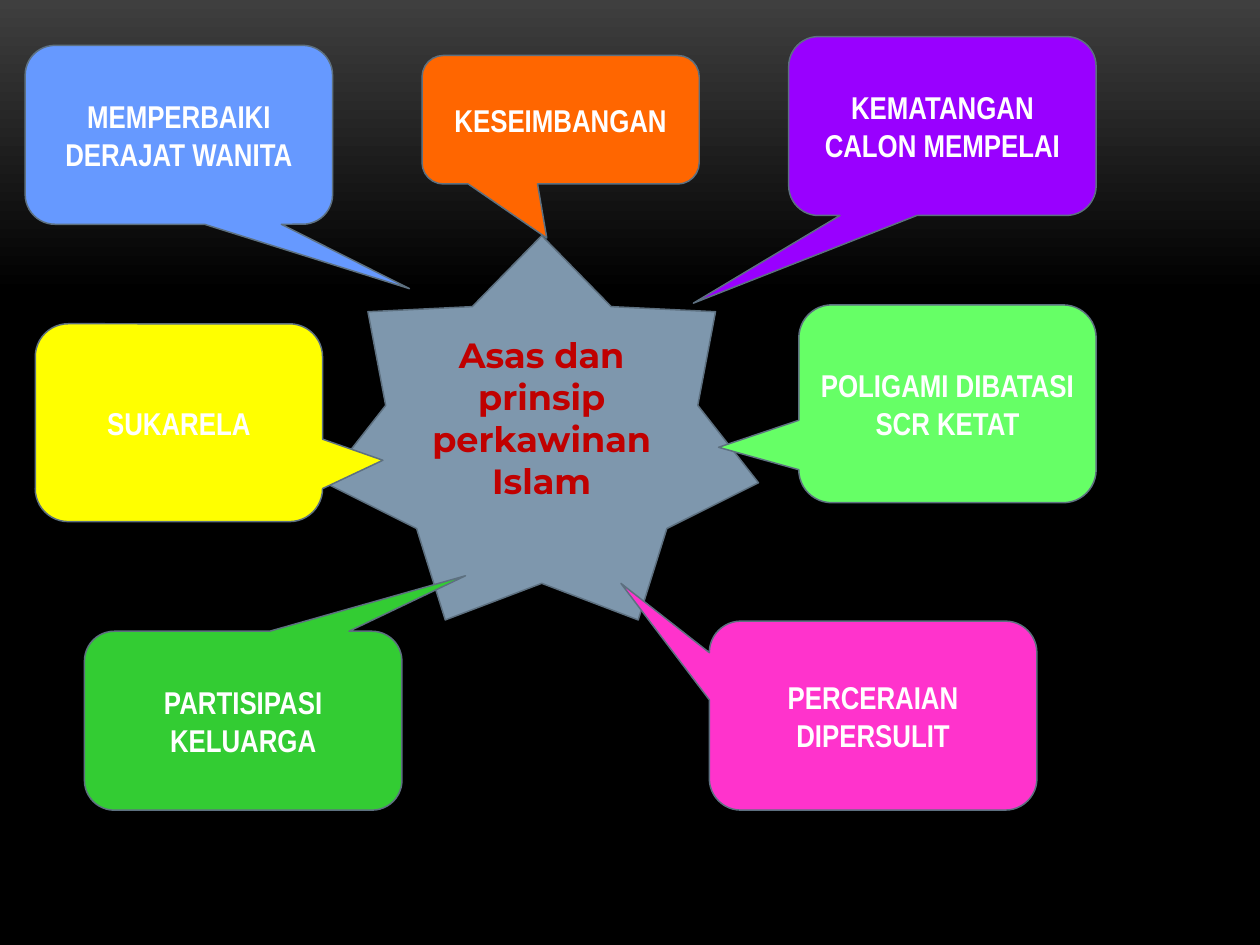
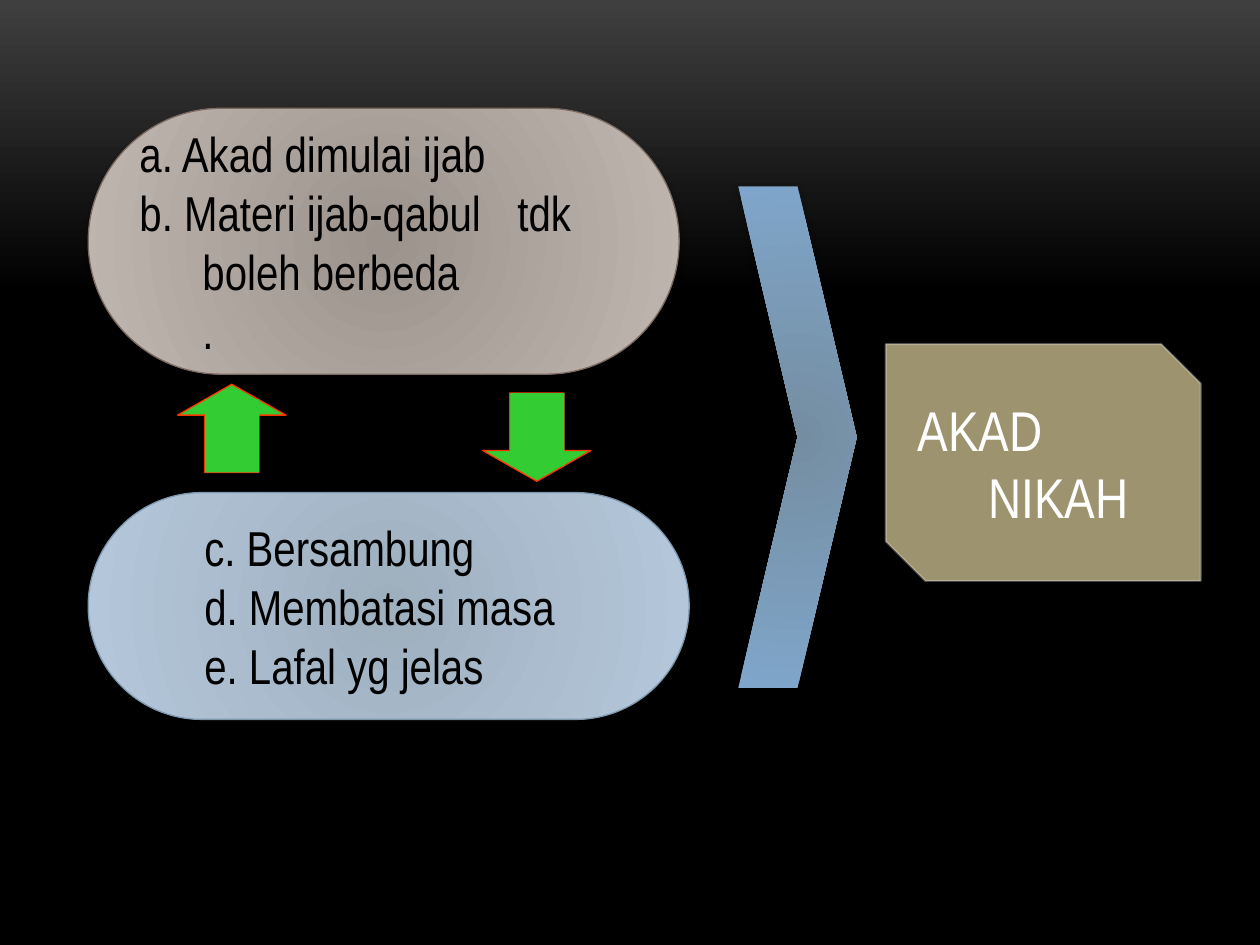
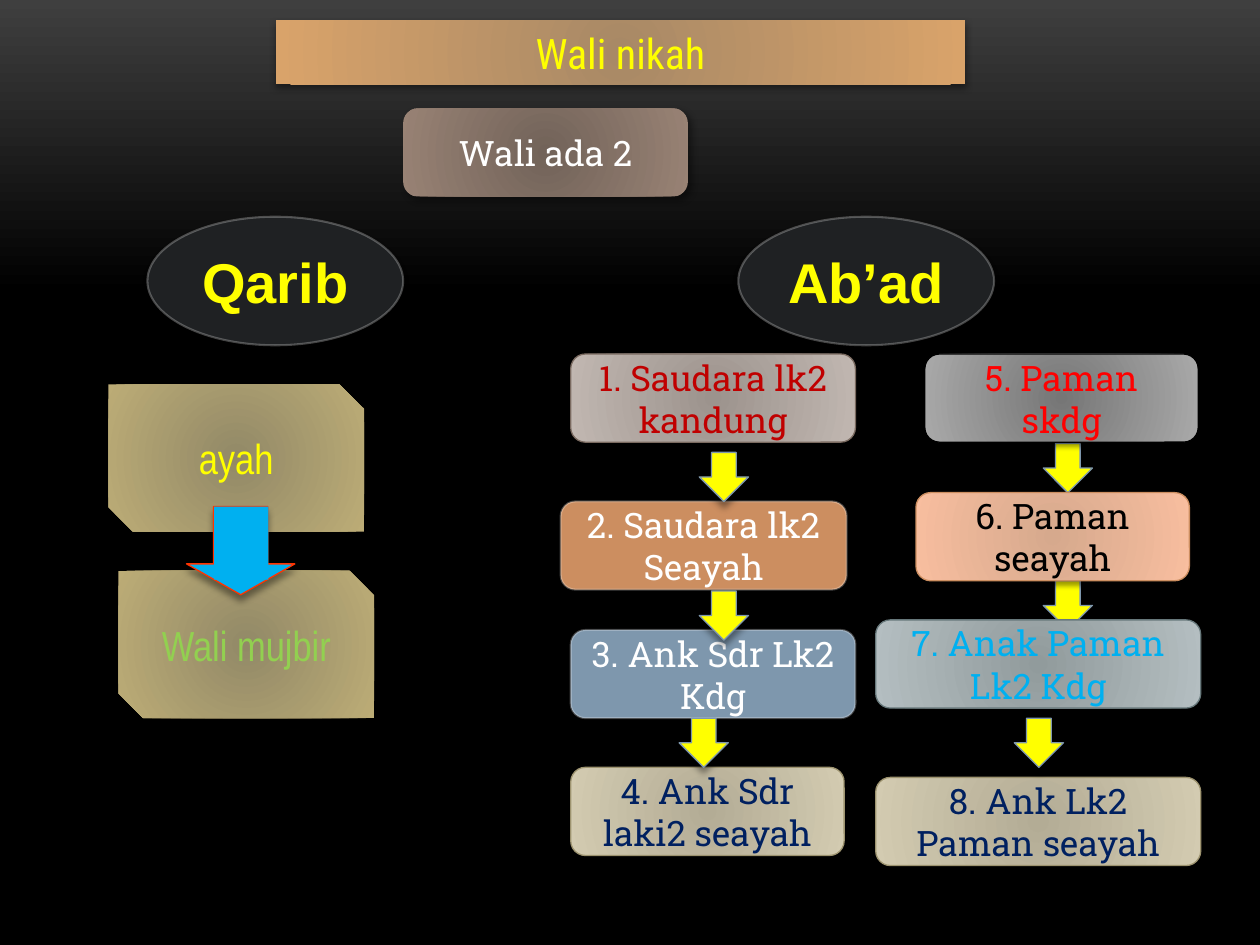
from dataclasses import dataclass

from lxml import etree
from pptx import Presentation
from pptx.dml.color import RGBColor
from pptx.enum.shapes import MSO_SHAPE as Shape
from pptx.enum.text import MSO_ANCHOR as Anchor, MSO_AUTO_SIZE as AutoSize, PP_ALIGN as Align
from pptx.oxml.ns import qn
from pptx.util import Inches, Pt

BLANK, TITLE_ONLY = 6, 5


@dataclass(frozen=True)
class Theme:
    narrow: str = "Arial Narrow"
    slab: str = "Roboto Slab"
    condensed: str = "Roboto Condensed"
    display: str = "Montserrat"
    sans: str = "Arial"

    callout_size: int = 18
    box_size: int = 20
    label_size: int = 24
    list_size: int = 28
    heading_size: int = 32

    white: str = "FFFFFF"
    black: str = "000000"
    top_shade: str = "3F3F3F"
    yellow: str = "FFFF00"
    red: str = "C00000"
    bright_red: str = "FF0000"
    cyan: str = "00B0F0"
    navy: str = "002060"
    lime: str = "92D050"
    green: str = "33CC33"
    steel: str = "7E97AD"
    copper: str = "CC8E60"
    olive: str = "9D936F"
    charcoal: str = "1F2123"

    # Radial fills: centre colour, edge colour
    taupe: tuple = ("9C938D", "C1B7B1")
    brown: tuple = ("726359", "988274")
    sky: tuple = ("9EAFBE", "B5C8DC")
    blue: tuple = ("758DA1", "7FA6CA")
    amber: tuple = ("A88966", "D9A36A")
    khaki: tuple = ("928967", "BCAC76")
    gray: tuple = ("767676", "A9A9A9")
    peach: tuple = ("D6A98D", "F8BE9F")
    slate: tuple = ("919B9C", "B4BEC1")
    sand: tuple = ("B3AC95", "D3CBB1")

    # Outlines: colour, width in points, opacity in percent
    callout_line: tuple = ("5D7080", 0.85, 100)
    glass_line: tuple = ("FFFFFF", 1.2, 25)
    taupe_line: tuple = ("7A6A60", 0.75, 100)
    steel_line: tuple = ("7E97AD", 0.75, 100)
    arrow_line: tuple = ("FF3300", 0.75, 100)
    black_line: tuple = ("000000", 0.75, 100)
    copper_line: tuple = ("CC8E60", 0.75, 100)
    slate_line: tuple = ("67787B", 0.75, 100)
    olive_line: tuple = ("9D936F", 0.75, 100)

    # Shadows: blur and distance in points, direction in degrees
    soft_shadow: tuple = (3, 2, 90)
    wide_shadow: tuple = (4, 2, 90)
    corner_shadow: tuple = (4, 3, 45)
    arrow_shadow: tuple = (4, 3.4, 90)


def rgb(color):
    return RGBColor.from_string(color)


class Deck:
    def __init__(self, theme):
        self.theme = theme
        self.presentation = Presentation()
        self.presentation.slide_width = Inches(10)
        self.presentation.slide_height = Inches(7.5)
        self.slide = None
        fill = self.presentation.slide_master.background.fill
        fill.gradient()
        fill.gradient_angle = 270
        for stop, color, position in zip(
            fill.gradient_stops, (theme.top_shade, theme.black), (0, 0.31)
        ):
            stop.color.rgb = rgb(color)
            stop.position = position

    def new_slide(self, layout=BLANK):
        self.slide = self.presentation.slides.add_slide(
            self.presentation.slide_layouts[layout])

    def paint(self, shape, fill, line=None, shadow=None):
        """Fill with one colour or a radial pair, then set outline and shadow."""
        properties = shape._element.spPr
        if isinstance(fill, tuple):
            shape.fill.gradient()
            for stop, color in zip(shape.fill.gradient_stops, fill):
                stop.color.rgb = rgb(color)
            gradient = properties.find(qn("a:gradFill"))
            gradient.remove(gradient.find(qn("a:lin")))
            radial = etree.SubElement(gradient, qn("a:path"), {"path": "circle"})
            etree.SubElement(radial, qn("a:fillToRect"),
                             {side: "100000" for side in "ltrb"})
        else:
            shape.fill.solid()
            shape.fill.fore_color.rgb = rgb(fill)

        if line:
            color, width, opacity = line
            shape.line.color.rgb = rgb(color)
            shape.line.width = Pt(width)
            if opacity < 100:
                line_color = properties.find(qn("a:ln")).find(".//" + qn("a:srgbClr"))
                etree.SubElement(line_color, qn("a:alpha"), val=str(opacity * 1000))
        else:
            shape.line.fill.background()

        shape.shadow.inherit = False
        if shadow:
            blur, distance, angle = shadow
            outer = etree.SubElement(
                properties.find(qn("a:effectLst")), qn("a:outerShdw"),
                blurRad=str(Pt(blur)), dist=str(Pt(distance)),
                dir=str(angle * 60000), rotWithShape="0")
            color = etree.SubElement(outer, qn("a:srgbClr"), val=self.theme.black)
            etree.SubElement(color, qn("a:alpha"), val="40000")

    def shape(self, kind, left, top, width, height, fill, line=None, shadow=None,
              adjustments=()):
        shape = self.slide.shapes.add_shape(
            kind, Inches(left), Inches(top), Inches(width), Inches(height))
        for index, value in enumerate(adjustments):
            shape.adjustments[index] = value
        self.paint(shape, fill, line, shadow)
        return shape

    def label(self, shape, lines, font, size, color, bold=False, align=Align.CENTER,
              margin=0, indent=0, tabs=()):
        frame = shape.text_frame
        frame.word_wrap = True
        frame.auto_size = AutoSize.NONE
        frame.vertical_anchor = Anchor.MIDDLE
        for index, line in enumerate(lines):
            paragraph = frame.add_paragraph() if index else frame.paragraphs[0]
            paragraph.text = line
            paragraph.alignment = align
            properties = paragraph._p.get_or_add_pPr()
            properties.set("marL", str(Inches(margin)))
            properties.set("indent", str(Inches(indent)))
            if tabs:
                tab_list = etree.SubElement(properties, qn("a:tabLst"))
                for position in tabs:
                    etree.SubElement(tab_list, qn("a:tab"),
                                     pos=str(Inches(position)), algn="l")
            paragraph.font.name = font
            paragraph.font.size = Pt(size)
            paragraph.font.bold = bold
            paragraph.font.color.rgb = rgb(color)

    def title(self, text, left, top, width, height):
        theme = self.theme
        title = self.slide.shapes.title
        title.left, title.top = Inches(left), Inches(top)
        title.width, title.height = Inches(width), Inches(height)
        self.paint(title, theme.amber, shadow=theme.wide_shadow)
        self.label(title, [text], theme.condensed, theme.label_size, theme.yellow)

    def callout(self, text, left, top, width, height, fill, pointer):
        theme = self.theme
        callout = self.shape(Shape.ROUNDED_RECTANGULAR_CALLOUT, left, top, width, height,
                             fill, theme.callout_line, adjustments=pointer)
        self.label(callout, [text], theme.narrow, theme.callout_size, theme.white, bold=True)

    def box(self, text, left, top, width, fill, color, line, shadow=None):
        theme = self.theme
        box = self.shape(Shape.ROUNDED_RECTANGLE, left, top, width, 0.7, fill, line,
                         shadow or theme.soft_shadow)
        self.label(box, [text], theme.slab, theme.box_size, color)

    def oval(self, text, left, top):
        theme = self.theme
        oval = self.shape(Shape.OVAL, left, top, 2.03, 1.02, theme.charcoal,
                          theme.glass_line, theme.soft_shadow)
        self.label(oval, [text], theme.sans, theme.heading_size, theme.yellow, bold=True)

    def card(self, text, left, top, color):
        theme = self.theme
        card = self.shape(Shape.SNIP_2_DIAG_RECTANGLE, left, top, 2.03, 1.17, theme.khaki,
                          shadow=theme.wide_shadow)
        self.label(card, [text], theme.narrow, theme.label_size, color)

    def pill(self, lines, top, width, height, fill, line, **layout):
        theme = self.theme
        pill = self.shape(Shape.ROUNDED_RECTANGLE, 0.7, top, width, height, fill, line,
                          theme.soft_shadow, [0.5])
        self.label(pill, lines, theme.narrow, theme.list_size, theme.black,
                   align=Align.LEFT, **layout)

    def block_arrow(self, left, top, fill, down=False):
        """Large arrow whose shaft is covered by a plain bar without outline."""
        theme = self.theme
        arrow = self.shape(Shape.UP_ARROW, left, top, 0.86, 0.7, fill, theme.arrow_line,
                           theme.arrow_shadow, [0.5, 0.35])
        arrow.rotation = 180 if down else 0
        bar_top = top if down else top + 0.12
        self.shape(Shape.RECTANGLE, left + 0.22, bar_top, 0.43, 0.58, fill)

    def step_arrow(self, left, top):
        theme = self.theme
        self.shape(Shape.DOWN_ARROW, left, top, 0.39, 0.39, theme.yellow,
                   theme.steel_line, theme.arrow_shadow)


def build_principles(deck):
    theme = deck.theme
    deck.new_slide()
    star = deck.shape(Shape.STAR_7_POINT, 2.58, 1.87, 3.44, 3.05, theme.steel,
                      theme.callout_line, adjustments=[0.36])
    deck.label(star, ["Asas dan prinsip perkawinan Islam"], theme.display, theme.box_size,
               theme.red, bold=True)
    principles = [
        ("MEMPERBAIKI DERAJAT WANITA", 0.2, 0.36, 2.44, 1.42, "6699FF", (0.75, 0.86)),
        ("KESEIMBANGAN", 3.35, 0.44, 2.2, 1.02, "FF6600", (-0.05, 0.92)),
        ("KEMATANGAN CALON MEMPELAI", 6.26, 0.29, 2.44, 1.42, "9900FF", (-0.81, 0.99)),
        ("SUKARELA", 0.28, 2.57, 2.28, 1.57, theme.yellow, (0.71, 0.19)),
        ("POLIGAMI DIBATASI SCR KETAT", 6.34, 2.42, 2.36, 1.57, "66FF66", (-0.77, 0.22)),
        ("PARTISIPASI KELUARGA", 0.67, 5.01, 2.52, 1.42, theme.green, (0.7, -0.81)),
        ("PERCERAIAN DIPERSULIT", 5.63, 4.93, 2.6, 1.5, "FF33CC", (-0.77, -0.7)),
    ]
    for principle in principles:
        deck.callout(*principle)


def build_contract(deck):
    theme = deck.theme
    deck.new_slide()
    deck.block_arrow(3.83, 3.12, theme.green, down=True)
    deck.pill(["a. Akad dimulai ijab", "b. Materi ijab-qabul\ttdk\v\tboleh berbeda", "\t."],
              0.86, 4.69, 2.11, theme.taupe, theme.taupe_line, tabs=(0.56, 3.33))
    deck.pill(["c. Bersambung", "d. Membatasi masa", "e. Lafal yg jelas"],
              3.91, 4.77, 1.8, theme.sky, theme.steel_line, margin=0.56)
    deck.block_arrow(1.41, 3.05, theme.green)
    deck.shape(Shape.CHEVRON, 5.86, 1.48, 0.94, 3.98, theme.blue, shadow=theme.wide_shadow)
    contract = deck.shape(Shape.SNIP_2_DIAG_RECTANGLE, 7.03, 2.73, 2.5, 1.88, theme.olive,
                          theme.glass_line, theme.soft_shadow)
    deck.label(contract, ["AKAD NIKAH"], theme.narrow, theme.heading_size, theme.white,
               align=Align.LEFT, margin=0.56, indent=-0.56)


def build_guardians(deck):
    theme = deck.theme
    deck.new_slide(TITLE_ONLY)
    deck.title("Wali nikah", 2.19, 0.16, 5.47, 0.51)
    deck.box("Wali ada 2", 3.2, 0.86, 2.26, theme.brown, theme.white, None,
             theme.corner_shadow)
    deck.oval("Qarib", 1.17, 1.72)
    deck.oval("Ab’ad", 5.86, 1.72)

    deck.card("ayah", 0.86, 3.05, theme.yellow)
    deck.card("Wali mujbir", 0.94, 4.53, theme.lime)
    deck.block_arrow(1.48, 4.02, theme.cyan, down=True)

    for top in (3.52, 4.61):
        deck.step_arrow(8.28, top)
    guardians = [
        ("1. Saudara lk2 kandung", 4.53, 2.81, 2.26, theme.taupe, theme.red, theme.taupe_line),
        ("2. Saudara lk2 Seayah", 4.45, 3.98, 2.27, theme.copper, theme.white, theme.glass_line),
        ("3. Ank Sdr Lk2 Kdg", 4.53, 5, 2.26, theme.steel, theme.white, theme.glass_line),
        ("4. Ank Sdr laki2 seayah", 4.53, 6.09, 2.17, theme.sand, theme.navy, theme.olive_line),
        ("5. Paman skdg", 7.34, 2.81, 2.17, theme.gray, theme.bright_red, theme.black_line),
        ("6. Paman seayah", 7.27, 3.91, 2.17, theme.peach, theme.black, theme.copper_line),
        ("7. Anak Paman Lk2 Kdg", 6.95, 4.92, 2.58, theme.slate, theme.cyan, theme.slate_line),
        ("8. Ank Lk2 Paman seayah", 6.95, 6.17, 2.58, theme.sand, theme.navy, theme.olive_line),
    ]
    for guardian in guardians:
        deck.box(*guardian)
    for left, top in ((5.55, 3.59), (5.55, 4.69), (5.39, 5.7), (8.05, 5.7)):
        deck.step_arrow(left, top)


def main():
    deck = Deck(Theme())
    build_principles(deck)
    build_contract(deck)
    build_guardians(deck)
    deck.presentation.save("out.pptx")


if __name__ == "__main__":
    main()
